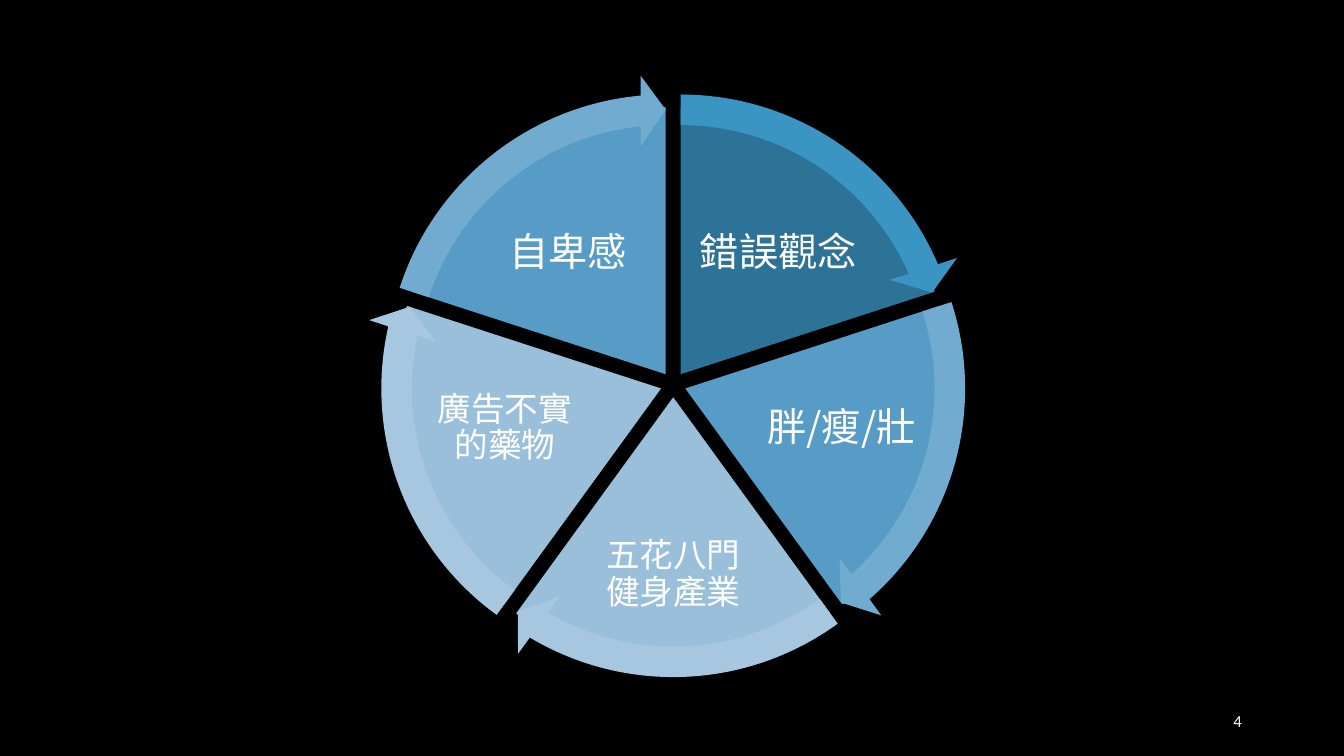
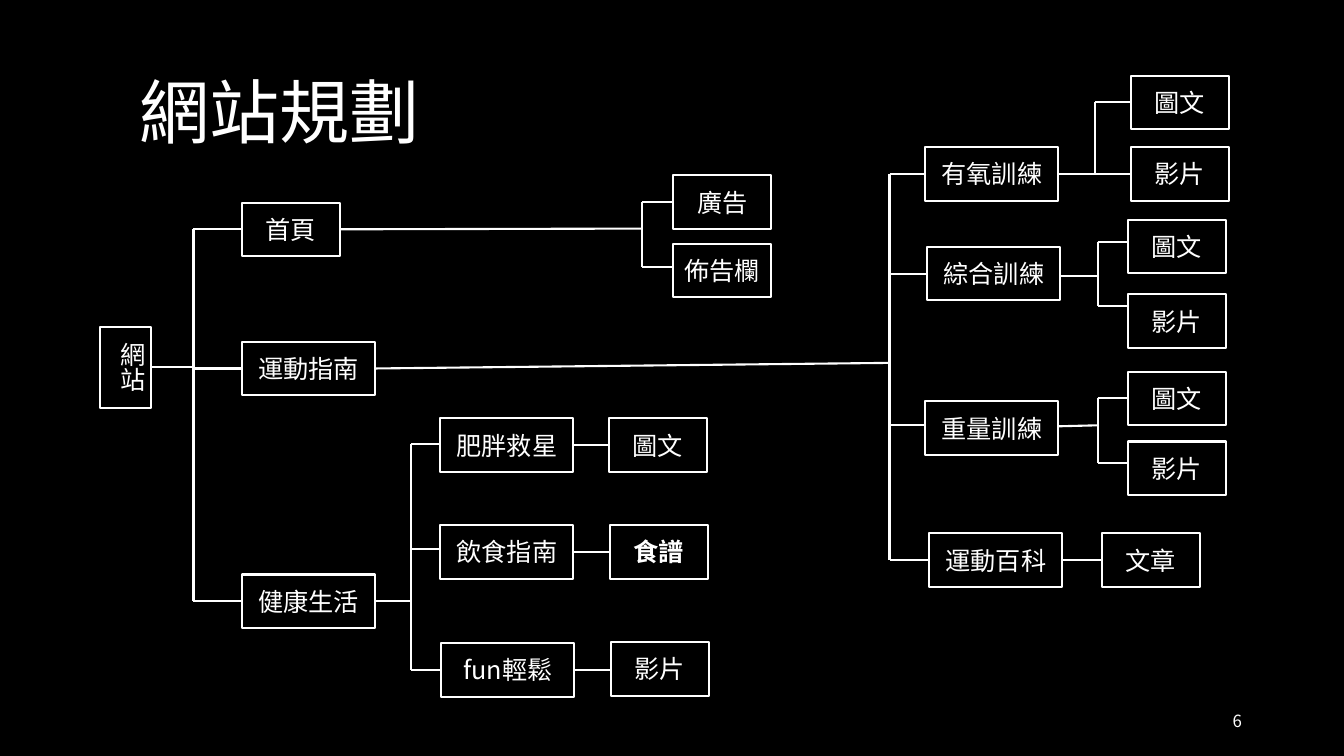
import dataclasses
import math
import lxml.etree
import pptx
import pptx.dml.color
import pptx.enum.shapes
import pptx.enum.text
import pptx.oxml.ns
import pptx.util

Pt = pptx.util.Pt
RGB = pptx.dml.color.RGBColor
KIND = pptx.enum.shapes.MSO_SHAPE
ALIGN = pptx.enum.text.PP_ALIGN
MIDDLE = pptx.enum.text.MSO_ANCHOR.MIDDLE
qn = pptx.oxml.ns.qn

# Shared look
BLACK = RGB(0x00, 0x00, 0x00)
WHITE = RGB(0xFF, 0xFF, 0xFF)
TEAL = RGB(0x2D, 0x73, 0x97)
AZURE = RGB(0x3A, 0x95, 0xC3)
BLUE = RGB(0x56, 0x9C, 0xC7)
SKY = RGB(0x71, 0xAC, 0xD0)
PALE = RGB(0x9A, 0xBF, 0xDA)
MIST = RGB(0xA6, 0xC7, 0xDF)
CJK = "Noto Sans CJK SC"
STROKE = 1.5
TITLE = (92.9, 54, 223.2, 57.6)
NUMBER = (678.2, 500.4, 216, 28.8)


def pts(*values):
    return [Pt(value) for value in values]


def write(frame, text, size, align=ALIGN.CENTER, font=CJK, bold=None, gap=None):
    frame.word_wrap = True
    para = frame.paragraphs[0]
    para.alignment = align
    para.line_spacing = gap
    run = para.add_run()
    run.text = text
    run.font.size = Pt(size)
    run.font.name = font
    run.font.bold = bold
    run.font.color.rgb = WHITE
    # East Asian face
    props = run._r.get_or_add_rPr()
    lxml.etree.SubElement(props, qn("a:ea")).set("typeface", font)


def label(slide, box, text, size, inset=None, **style):
    frame = slide.shapes.add_textbox(*pts(*box)).text_frame
    frame.vertical_anchor = MIDDLE
    if inset is not None:
        frame.margin_left = frame.margin_right = Pt(inset)
        frame.margin_top = frame.margin_bottom = Pt(inset)
    write(frame, text, size, **style)


def page(deck, number, font=CJK, title=None):
    slide = deck.slides.add_slide(deck.slide_layouts[6])
    fill = slide.background.fill
    fill.solid()
    fill.fore_color.rgb = BLACK
    if title:
        label(slide, TITLE, title, 50, align=ALIGN.LEFT, gap=0.9)
    label(slide, NUMBER, number, 12, align=ALIGN.RIGHT, font=font)
    return slide


# Wheel of five wedges, each with an arrow along its rim
WEDGES = [
    # text, size, fill, rim, label centre from hub, label size
    ("錯誤觀念", 28, TEAL, AZURE, (75, -93.3), (122.4, 82)),
    ("胖/瘦/壯", 28, BLUE, SKY, (120.2, 31.3), (113.8, 90.7)),
    ("五花八門健身產業", 24, PALE, MIST, (0, 136), (108.7, 100)),
    ("廣告不實的藥物", 24, PALE, MIST, (-120.2, 31.3), (113.8, 90.7)),
    ("自卑感", 28, BLUE, SKY, (-75, -93.3), (122.4, 82)),
]
PUSH = 9.1
RIM = 428.4


def turn(degrees):
    # Preset angles count 60000 per degree, adjustments 100000 per unit
    return degrees % 360 * 0.6


def disc(slide, kind, x, y, size, color, adjust):
    shape = slide.shapes.add_shape(
        kind, *pts(x - size / 2, y - size / 2, size, size))
    shape.shadow.inherit = False
    shape.fill.solid()
    shape.fill.fore_color.rgb = color
    shape.line.fill.background()
    for i, value in enumerate(adjust):
        shape.adjustments[i] = value


def wheel(slide, box):
    left, top, width, height = box
    hub = (left + width / 2, top + height / 2)
    step = 360 / len(WEDGES)
    rims = []
    for i, (text, size, fill, rim, shift, area) in enumerate(WEDGES):
        start = 270 + i * step
        mid = math.radians(start + step / 2)
        x = hub[0] + PUSH * math.cos(mid)
        y = hub[1] + PUSH * math.sin(mid)
        ends = turn(start), turn(start + step)
        disc(slide, KIND.PIE, x, y, width, fill, ends)
        spot = [hub[k] + shift[k] - area[k] / 2 for k in (0, 1)]
        label(slide, (*spot, *area), text, size, inset=size / 10, gap=0.9)
        head = 3.275
        rims.append((x, y, RIM, rim,
                     (0.051, head, ends[1] - head, ends[0], 0.059)))
    for rim in rims:
        disc(slide, KIND.CIRCULAR_ARROW, *rim)


# Site map: places are relative to the box of the tree
SHORT, LONG, HIGH = 70, 95, 38.2


@dataclasses.dataclass
class Node:
    text: str
    x: float
    y: float
    w: float = SHORT
    kids: tuple = ()
    trunk: float = 0    # x of the upright line before the kids
    port: float = 0     # shift of the incoming line from the middle
    out: float = 0      # shift of the outgoing line
    rise: float = 0     # shift of its far end
    h: float = HIGH
    bold: bool = False
    tall: bool = False


def pair(x, y, low, port=0, drop=0):
    return (Node("圖文", x, y, port=port), Node("影片", x, low, port=drop))


HOME = Node("首頁", 101.5, 90.7, trunk=387.3, rise=-0.5, kids=(
    Node("廣告", 409.7, 71.3),
    Node("佈告欄", 409.7, 120.2, port=-2.5)))
GUIDE = Node("運動指南", 101.5, 190.1, LONG, trunk=564.1, rise=-4, kids=(
    Node("有氧訓練", 589.7, 51.1, LONG, pair(736.5, 0, 51.1), 710.7),
    Node("綜合訓練", 591.1, 122.4, LONG,
         pair(734.4, 103, 156.2, -3.3, -10.4), 712.7, out=1.8, rise=1.8),
    Node("重量訓練", 589.7, 232.6, LONG,
         pair(734.4, 211.7, 261.4, -0.4, -4), 712.7,
         port=-1.9, out=-1.2, rise=-1.9),
    Node("運動百科", 592.5, 326.9, LONG, (Node("文章", 715.7, 326.9),))))
LIFE = Node("健康生活", 101.5, 356.4, LONG, trunk=222.5, kids=(
    Node("肥胖救星", 243.3, 244.8, LONG, (Node("圖文", 363.6, 244.8),),
         port=-1),
    Node("飲食指南", 243.3, 321.1, LONG,
         (Node("食譜", 364.3, 321.1, bold=True),), port=-1.8),
    Node("fun輕鬆", 244, 405.4, LONG, (Node("影片", 365, 404.7),))))
SITE = Node(" 網站", 0, 179.3, 36.5, (HOME, GUIDE, LIFE), 66.9,
            h=58.3, tall=True)


def line(slide, *ends):
    link = slide.shapes.add_connector(
        pptx.enum.shapes.MSO_CONNECTOR.STRAIGHT, *pts(*ends))
    link.line.color.rgb = WHITE
    link.line.width = Pt(STROKE)
    lxml.etree.SubElement(link._element.spPr, qn("a:effectLst"))


def card(slide, box, node):
    shape = slide.shapes.add_shape(
        KIND.RECTANGLE, *pts(box[0] + node.x, box[1] + node.y, node.w, node.h))
    shape.shadow.inherit = False
    shape.fill.background()
    shape.line.color.rgb = WHITE
    shape.line.width = Pt(STROKE)
    frame = shape.text_frame
    frame.vertical_anchor = MIDDLE
    align = ALIGN.CENTER
    if node.tall:
        frame.vertical_anchor = pptx.enum.text.MSO_ANCHOR.TOP
        frame.auto_size = pptx.enum.text.MSO_AUTO_SIZE.SHAPE_TO_FIT_TEXT
        frame._txBody.bodyPr.set("vert", "eaVert")
        align = ALIGN.LEFT
    write(frame, node.text, 18, align=align, bold=node.bold or None)


def tree(slide, box, node):
    card(slide, box, node)
    if not node.kids:
        return
    left, top = box[:2]
    mid = top + node.y + node.h / 2
    ports = [top + kid.y + kid.h / 2 + kid.port for kid in node.kids]
    trunk = left + (node.trunk or node.kids[0].x)
    # Stem, upright and branches
    line(slide, left + node.x + node.w, mid + node.out, trunk, mid + node.rise)
    if node.trunk:
        line(slide, trunk, ports[0], trunk, ports[-1])
        for kid, y in zip(node.kids, ports):
            line(slide, trunk, y, left + kid.x, y)
    for kid in node.kids:
        tree(slide, box, kid)


deck = pptx.Presentation()
deck.slide_width, deck.slide_height = pts(960, 540)
wheel(page(deck, "4", font="Calibri"), (290.1, 83.9, 381.6, 381.6))
tree(page(deck, "6", title="網站規劃"), (71.3, 54, 806.5, 443.6), SITE)
deck.save("out.pptx")
